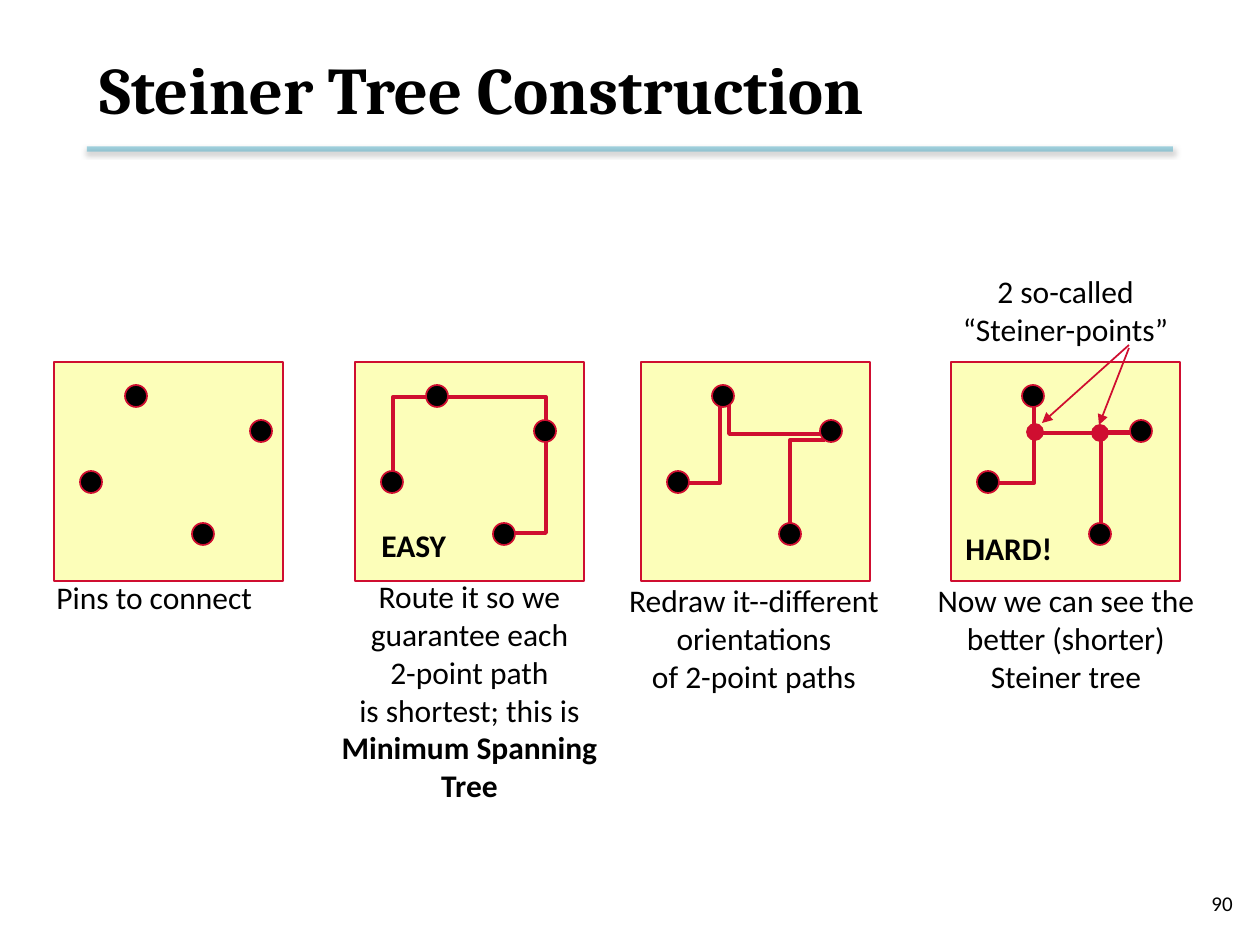
import pptx
import pptx.util
import pptx.dml.color
import pptx.enum.shapes
import pptx.enum.text
import pptx.oxml
import pptx.oxml.ns

SCALE = 914400 / 126
THEME = {
    "ink": "000000", "wire": "CF0E30", "panel": "FCFEB9", "rule": "4BACC6",
    "body_font": "Calibri", "title_font": "Cambria",
    "title": 38, "body": 18, "number": 12,
    "outline": 1, "wire_width": 2.25, "rule_width": 3,
}
ALIGN = pptx.enum.text.PP_ALIGN
KIND = pptx.enum.shapes.MSO_SHAPE
PANEL_TOP, PANEL_WIDTH, PANEL_HEIGHT = 362, 229, 219
PIN_SIZE, STEINER_SIZE = 22, 16
PINS = [(37, 120), (82, 34), (190, 69), (149, 172)]
SCATTERED_PINS = [(37, 120), (82, 34), (207, 69), (149, 172)]

PANELS = [
    {"left": 54, "pins": SCATTERED_PINS, "wires": [], "steiner": [],
     "caption": [[("Pins to connect", False)]],
     "place": (44, 572, 243, 50), "align": ALIGN.LEFT},
    {"left": 355, "pins": PINS, "steiner": [],
     "wires": [[(38, 119), (38, 35), (191, 35), (191, 171), (148, 171)]],
     "caption": [[("Route it so we\nguarantee each\n2-point path", False)],
                 [("is shortest; this is\n", False),
                  ("Minimum Spanning\nTree", True)]],
     "place": (310, 571, 319, 242), "align": ALIGN.CENTER},
    {"left": 641, "pins": PINS, "steiner": [],
     "wires": [[(36, 121), (79, 121), (79, 32)],
               [(88, 37), (88, 72), (182, 72)],
               [(184, 78), (149, 78), (149, 172)]],
     "caption": [[("Redraw it--different", False)],
                 [("orientations", False)],
                 [("of 2-point paths", False)]],
     "place": (606, 575, 296, 127), "align": ALIGN.CENTER},
    {"left": 951, "pins": PINS, "steiner": [(84, 70), (149, 71)],
     "wires": [[(41, 121), (83, 121), (83, 32)],
               [(83, 36), (83, 71), (187, 71)],
               [(184, 70), (150, 70), (150, 165)]],
     "caption": [[("Now we can see the", False)],
                 [("better (shorter)", False)],
                 [("Steiner tree", False)]],
     "place": (910, 575, 312, 127), "align": ALIGN.CENTER},
]
ARROWS = [(1129, 348, 1099, 425), (1129, 345, 1042, 423)]
NOTES = [
    ([[("2 so-called\n“Steiner-points”", False)]], (944, 266, 243, 89), ALIGN.CENTER),
    ([[("EASY", True)]], (369, 520, 113, 50), ALIGN.LEFT),
    ([[("HARD!", True)]], (953, 523, 129, 50), ALIGN.LEFT),
]


def px(*lengths):
    return [round(length * SCALE) for length in lengths]


def rgb(name):
    return pptx.dml.color.RGBColor.from_string(THEME[name])


def set_all(target, values):
    for name, value in values.items():
        setattr(target, name, value)


def stroke(shape, color, width):
    shape.line.color.rgb = rgb(color)
    shape.line.width = pptx.util.Pt(THEME[width])


def add_text(page, paragraphs, place, align, size="body", font="body_font",
             middle=False, wrap=False):
    frame = page.shapes.add_textbox(*px(*place)).text_frame
    anchors = pptx.enum.text.MSO_ANCHOR
    set_all(frame, {"word_wrap": wrap,
                    "vertical_anchor": anchors.MIDDLE if middle else anchors.TOP})
    for index, spans in enumerate(paragraphs):
        para = frame.add_paragraph() if index else frame.paragraphs[0]
        para.alignment = align
        for text, bold in spans:
            for row, words in enumerate(text.split("\n")):
                if row:
                    para.add_line_break()
                if words:
                    span = para.add_run()
                    span.text = words
                    set_all(span.font, {"name": THEME[font], "bold": bold,
                                        "size": pptx.util.Pt(THEME[size])})
                    span.font.color.rgb = rgb("ink")


def add_solid(page, kind, place, fill):
    shape = page.shapes.add_shape(kind, *px(*place))
    shape.shadow.inherit = False
    shape.fill.solid()
    shape.fill.fore_color.rgb = rgb(fill)
    stroke(shape, "wire", "outline")


def add_dot(page, center, size, fill):
    x, y = center
    add_solid(page, KIND.OVAL, (x - size / 2, y - size / 2, size, size), fill)


def add_wire(page, points):
    start, *rest = [px(*point) for point in points]
    builder = page.shapes.build_freeform(*start, scale=1.0)
    builder.add_line_segments(rest, close=False)
    wire = builder.convert_to_shape()
    wire.shadow.inherit = False
    wire.fill.background()
    stroke(wire, "wire", "wire_width")


def add_line(page, ends, color, width):
    line = page.shapes.add_connector(pptx.enum.shapes.MSO_CONNECTOR.STRAIGHT, *px(*ends))
    stroke(line, color, width)
    effects = pptx.oxml.parse_xml(f'<a:effectLst {pptx.oxml.ns.nsdecls("a")}/>')
    line._element.spPr.append(effects)
    return line, effects


def add_rule(page):
    line, effects = add_line(page, (87, 149, 1173, 149), "rule", "rule_width")
    color = line._element.spPr.find(".//" + pptx.oxml.ns.qn("a:srgbClr"))
    names = pptx.oxml.ns.nsdecls("a")
    color.append(pptx.oxml.parse_xml(f'<a:alpha {names} val="50000"/>'))
    effects.append(pptx.oxml.parse_xml(
        f'<a:outerShdw {names} blurRad="39370" dist="20320" dir="5400000" rotWithShape="0">'
        f'<a:srgbClr val="{THEME["ink"]}"><a:alpha val="38000"/></a:srgbClr></a:outerShdw>'))


def add_panel(page, panel):
    def shift(points):
        return [(panel["left"] + x, PANEL_TOP + y) for x, y in points]

    add_solid(page, KIND.RECTANGLE,
              (panel["left"], PANEL_TOP, PANEL_WIDTH, PANEL_HEIGHT), "panel")
    for wire in panel["wires"]:
        add_wire(page, shift(wire))
    add_text(page, panel["caption"], panel["place"], panel["align"])
    for center in shift(panel["pins"]):
        add_dot(page, center, PIN_SIZE, "ink")
    for center in shift(panel["steiner"]):
        add_dot(page, center, STEINER_SIZE, "wire")


def main():
    deck = pptx.Presentation()
    deck.slide_width, deck.slide_height = px(1260, 945)
    page = deck.slides.add_slide(deck.slide_layouts[6])
    add_rule(page)
    add_text(page, [[("90", False)]], (951, 878, 294, 50), ALIGN.RIGHT,
             size="number", middle=True, wrap=True)
    add_text(page, [[("Steiner Tree Construction", True)]], (87, 21, 1086, 134),
             ALIGN.LEFT, size="title", font="title_font", middle=True, wrap=True)
    for panel in PANELS:
        add_panel(page, panel)
    for ends in ARROWS:
        arrow, _ = add_line(page, ends, "wire", "outline")
        arrow.line._get_or_add_ln().append(pptx.oxml.parse_xml(
            f'<a:tailEnd {pptx.oxml.ns.nsdecls("a")} type="triangle"/>'))
    for note in NOTES:
        add_text(page, *note)
    deck.save("out.pptx")


if __name__ == "__main__":
    main()
